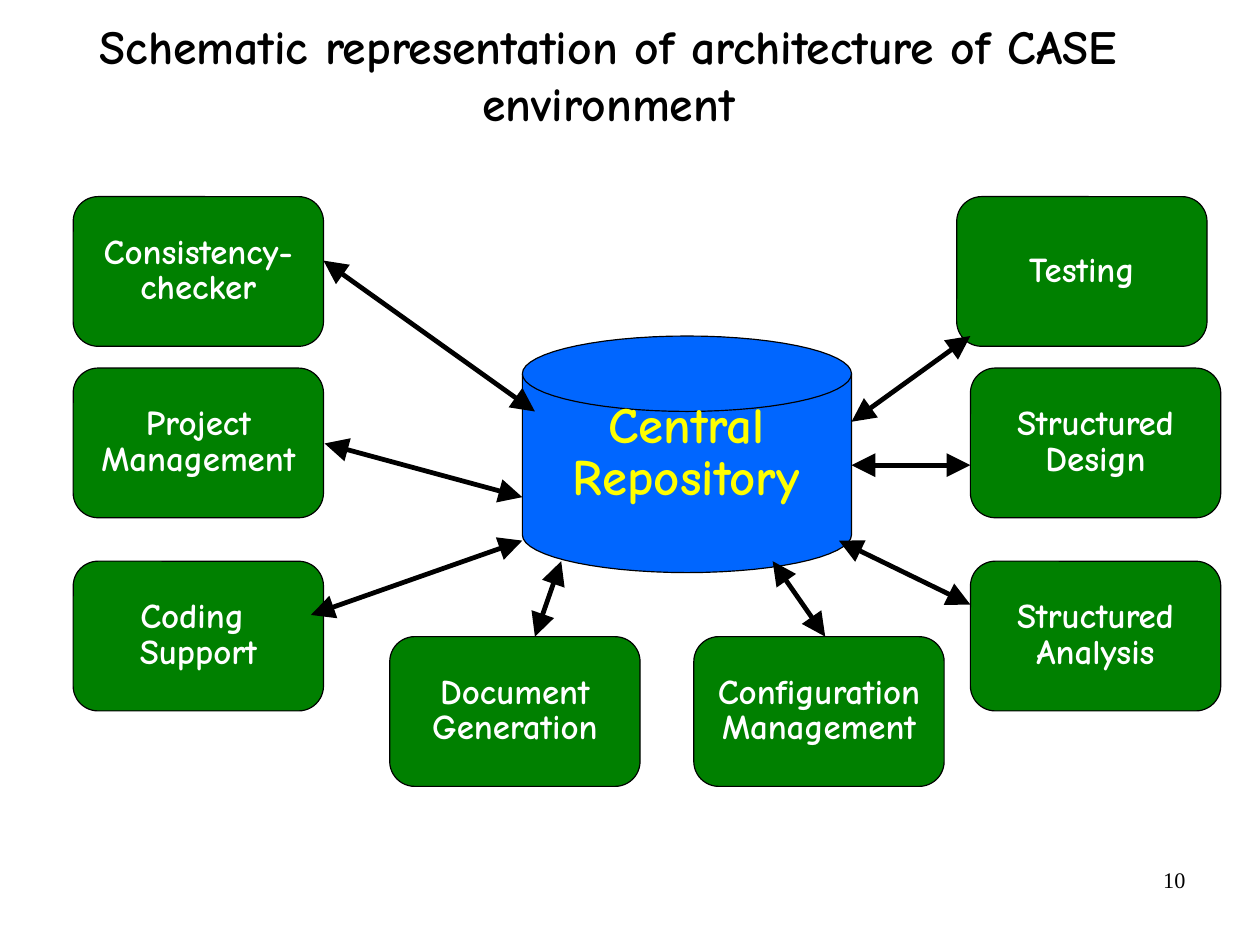
from dataclasses import dataclass
from math import cos, pi, sin

from pptx import Presentation
from pptx.dml.color import RGBColor
from pptx.enum.shapes import MSO_CONNECTOR, MSO_SHAPE
from pptx.enum.text import MSO_ANCHOR as Anchor, PP_ALIGN as Align
from pptx.oxml.ns import qn
from pptx.shapes.autoshape import Shape
from pptx.slide import Slide
from pptx.util import Inches, Pt
from lxml.etree import SubElement

Point = tuple[float, float]

CM_PER_INCH = 2.54
SLIDE_WIDTH, SLIDE_HEIGHT = 28 / CM_PER_INCH, 21 / CM_PER_INCH

TITLE_FONT = "Comic Neue"
NUMBER_FONT = "Times New Roman"
BLACK, WHITE, YELLOW = "000000", "FFFFFF", "FFFF00"
GREEN, BLUE = "008000", "0066FF"

TOOL_WIDTH, TOOL_HEIGHT = 2.19, 1.31
LEFT, RIGHT = 0.64, 8.49
TOP_ROW, MIDDLE_ROW, LOWER_ROW, BOTTOM_ROW = 1.72, 3.22, 4.91, 5.57

CENTER_X, RADIUS_X, RADIUS_Y = 6.01, 1.44, 0.33
RIM_Y, BASE_Y = 3.27, 4.68
ARC_STEPS = 30


@dataclass
class Tool:
    label: str
    left: float
    top: float
    link_start: Point
    link_end: Point


@dataclass
class TextStyle:
    size: float
    color: str
    font: str = TITLE_FONT
    bold: bool = True
    align: Align = Align.CENTER
    anchor: Anchor = Anchor.MIDDLE
    line_spacing: float = 1.0
    margin_x: float = 0.02
    margin_y: float = 0.06


TOOLS = [
    Tool("Consistency-\vchecker", LEFT, TOP_ROW, (4.68, 3.6), (2.83, 2.28)),
    Tool("Project\vManagement", LEFT, MIDDLE_ROW, (4.57, 4.35), (2.84, 3.88)),
    Tool("Coding \vSupport", LEFT, LOWER_ROW, (4.57, 4.73), (2.72, 5.38)),
    Tool("Document\vGeneration", 3.41, BOTTOM_ROW, (4.91, 4.91), (4.68, 5.57)),
    Tool("Configuration\vManagement", 6.07, BOTTOM_ROW, (6.76, 4.91), (7.22, 5.57)),
    Tool("Structured\vAnalysis", RIGHT, LOWER_ROW, (7.34, 4.73), (8.49, 5.29)),
    Tool("Structured\vDesign", RIGHT, MIDDLE_ROW, (7.45, 4.07), (8.49, 4.07)),
    Tool("Testing", 8.37, TOP_ROW, (7.45, 3.69), (8.49, 2.94)),
]

TITLE_STYLE = TextStyle(30, BLACK)
TOOL_STYLE = TextStyle(22, WHITE, line_spacing=0.85)
REPOSITORY_STYLE = TextStyle(32, YELLOW, line_spacing=0.85, margin_x=0, margin_y=0)
NUMBER_STYLE = TextStyle(14, BLACK, NUMBER_FONT, False, Align.RIGHT, Anchor.TOP,
                         margin_x=0.1, margin_y=0.05)


def rgb(color: str) -> RGBColor:
    return RGBColor.from_string(color)


def write_text(shape: Shape, text: str, style: TextStyle) -> None:
    frame = shape.text_frame
    frame.text = text
    frame.word_wrap = True
    frame.vertical_anchor = style.anchor
    frame.margin_left = frame.margin_right = Inches(style.margin_x)
    frame.margin_top = frame.margin_bottom = Inches(style.margin_y)
    paragraph = frame.paragraphs[0]
    paragraph.alignment = style.align
    paragraph.line_spacing = style.line_spacing
    for run in paragraph.runs:
        run.font.name = style.font
        run.font.size = Pt(style.size)
        run.font.bold = style.bold
        run.font.color.rgb = rgb(style.color)


def add_text(slide: Slide, left: float, top: float, width: float, height: float,
             text: str, style: TextStyle) -> None:
    box = slide.shapes.add_textbox(Inches(left), Inches(top), Inches(width), Inches(height))
    write_text(box, text, style)


def paint(shape: Shape, fill: str | None) -> None:
    shape.shadow.inherit = False
    if fill:
        shape.fill.solid()
        shape.fill.fore_color.rgb = rgb(fill)
    else:
        shape.fill.background()
    shape.line.color.rgb = rgb(BLACK)
    shape.line.width = Pt(0.75)


def half_ellipse(center_y: float, start: float) -> list[Point]:
    angles = [start + pi * step / ARC_STEPS for step in range(ARC_STEPS + 1)]
    return [(CENTER_X + RADIUS_X * cos(angle), center_y + RADIUS_Y * sin(angle))
            for angle in angles]


def add_outline(slide: Slide, points: list[Point], fill: str | None, close: bool) -> None:
    vertices = [(Inches(x), Inches(y)) for x, y in points]
    builder = slide.shapes.build_freeform(*vertices[0])
    builder.add_line_segments(vertices[1:], close=close)
    paint(builder.convert_to_shape(), fill)


def add_repository(slide: Slide) -> None:
    add_outline(slide, half_ellipse(RIM_Y, pi) + half_ellipse(BASE_Y, 0), BLUE, True)
    add_outline(slide, half_ellipse(RIM_Y, 0), None, False)
    add_text(slide, 4.44, 2.94, 3.13, 2.07, "Central\vRepository", REPOSITORY_STYLE)


def add_tool(slide: Slide, tool: Tool) -> None:
    shape = slide.shapes.add_shape(MSO_SHAPE.ROUNDED_RECTANGLE, Inches(tool.left),
                                   Inches(tool.top), Inches(TOOL_WIDTH), Inches(TOOL_HEIGHT))
    paint(shape, GREEN)
    write_text(shape, tool.label, TOOL_STYLE)


def add_link(slide: Slide, start: Point, end: Point) -> None:
    ends = [Inches(value) for value in (*start, *end)]
    connector = slide.shapes.add_connector(MSO_CONNECTOR.STRAIGHT, *ends)
    connector.line.color.rgb = rgb(BLACK)
    connector.line.width = Pt(3)
    properties = connector._element.spPr
    line = properties.find(qn("a:ln"))
    for tag in ("a:headEnd", "a:tailEnd"):
        SubElement(line, qn(tag), type="triangle", w="lg", len="lg")
    SubElement(properties, qn("a:effectLst"))


def main() -> None:
    presentation = Presentation()
    presentation.slide_width = Inches(SLIDE_WIDTH)
    presentation.slide_height = Inches(SLIDE_HEIGHT)
    slide = presentation.slides.add_slide(presentation.slide_layouts[6])
    add_text(slide, 7.9, 7.53, 2.57, 0.57, "10", NUMBER_STYLE)
    add_text(slide, 0.64, -0.04, 9.37, 1.37,
             "Schematic representation of architecture of CASE environment", TITLE_STYLE)
    add_repository(slide)
    for tool in TOOLS:
        add_tool(slide, tool)
    for tool in TOOLS:
        add_link(slide, tool.link_start, tool.link_end)
    presentation.save("out.pptx")


if __name__ == "__main__":
    main()
